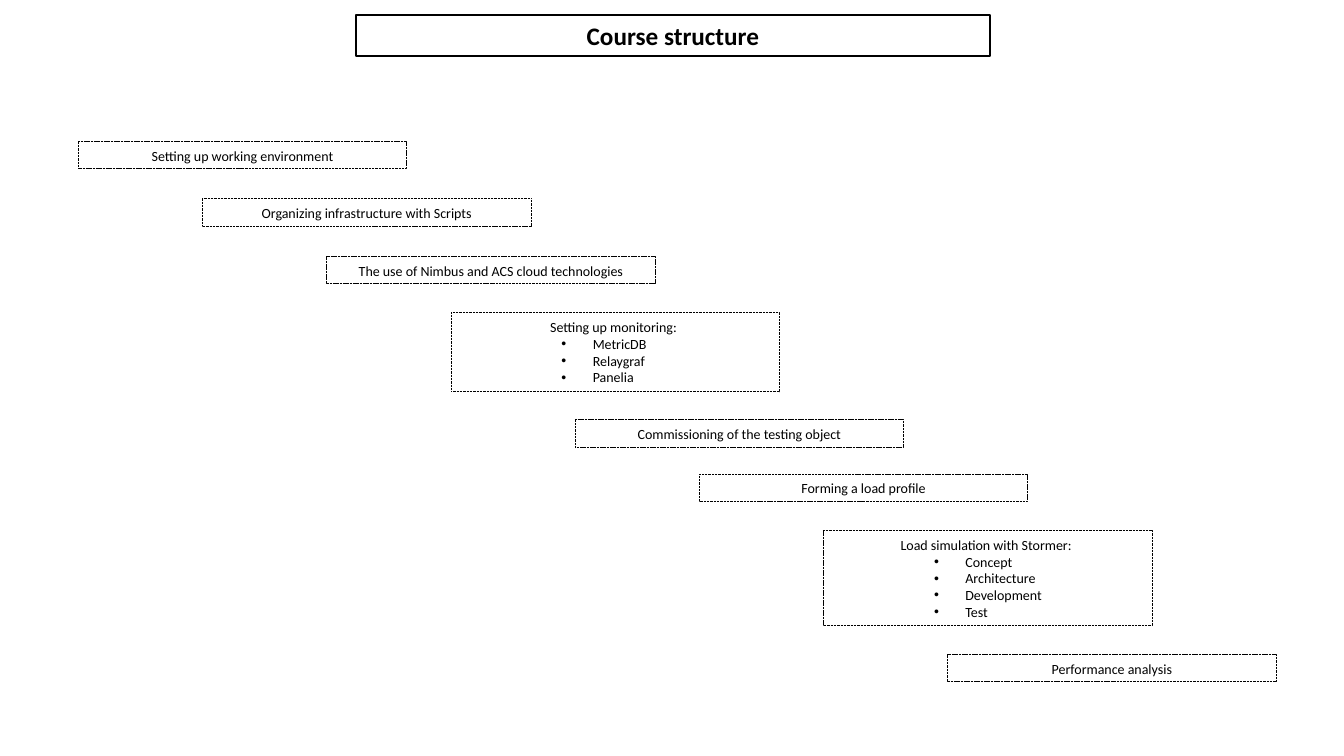
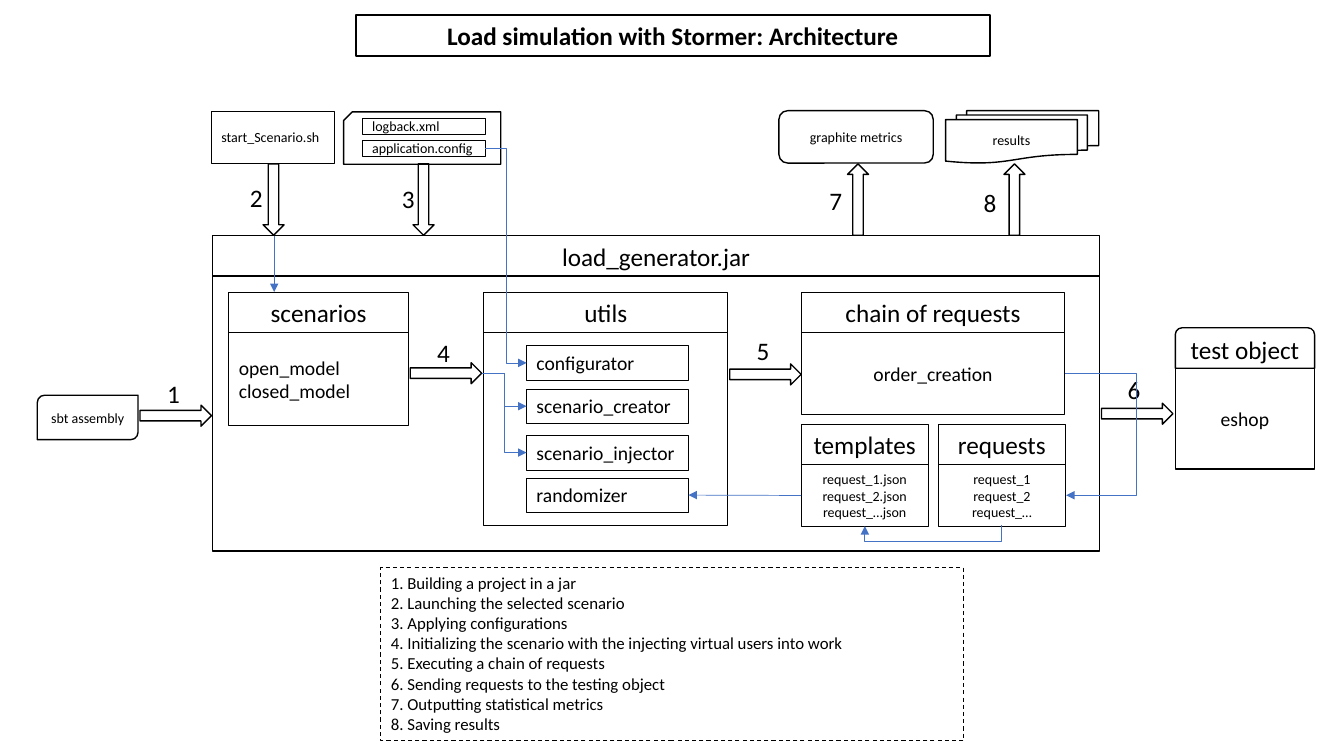
from dataclasses import dataclass

from lxml import etree
from pptx import Presentation
from pptx.dml.color import RGBColor
from pptx.enum.dml import MSO_LINE
from pptx.enum.shapes import MSO_CONNECTOR, MSO_SHAPE
from pptx.enum.text import MSO_ANCHOR, PP_ALIGN
from pptx.oxml.ns import qn
from pptx.util import Cm, Pt

RECT = MSO_SHAPE.RECTANGLE
ROUNDED = MSO_SHAPE.ROUNDED_RECTANGLE
ROUND_TOP = MSO_SHAPE.ROUND_2_SAME_RECTANGLE
ROUND_DIAGONAL = MSO_SHAPE.ROUND_2_DIAG_RECTANGLE
SNIPPED = MSO_SHAPE.SNIP_1_RECTANGLE
DOCUMENTS = MSO_SHAPE.FLOWCHART_MULTIDOCUMENT
DOWN, UP, RIGHT = MSO_SHAPE.DOWN_ARROW, MSO_SHAPE.UP_ARROW, MSO_SHAPE.RIGHT_ARROW
STRAIGHT, ELBOW = MSO_CONNECTOR.STRAIGHT, MSO_CONNECTOR.ELBOW
DASH, SHORT_DASH = MSO_LINE.DASH, MSO_LINE.SQUARE_DOT
LEFT, CENTER = PP_ALIGN.LEFT, PP_ALIGN.CENTER
TOP, MIDDLE = MSO_ANCHOR.TOP, MSO_ANCHOR.MIDDLE
LEFT_SIDE, RIGHT_SIDE = 1, 3


@dataclass(frozen=True)
class Theme:
    font: str = "Calibri"
    ink: RGBColor = RGBColor(0, 0, 0)
    paper: RGBColor = RGBColor(255, 255, 255)
    accent: RGBColor = RGBColor(0x44, 0x72, 0xC4)
    heading: int = 18
    body: int = 14
    legend: int = 12
    small: int = 10
    thick: float = 1.5
    medium: float = 1
    thin: float = 0.75
    link: float = 0.5
    hairline: float = 0.25


class Board:
    HEADER = 1.02
    ARROW_LENGTH, ARROW_WIDTH = 1.8, 0.53
    LOOP_WIDTH = 0.02

    def __init__(self, theme):
        self.theme = theme
        self.deck = Presentation()
        self.deck.slide_width, self.deck.slide_height = Cm(33.87), Cm(19.05)
        self.page = None

    def new_page(self, title):
        self.page = self.deck.slides.add_slide(self.deck.slide_layouts[6])
        self.box(8.97, 0.38, 15.98, 1.04, title, self.theme.heading,
                 weight=self.theme.thick, bold=True)

    def set_text(self, shape, text, size, align, anchor, bold=False):
        frame = shape.text_frame
        frame.word_wrap = True
        frame.vertical_anchor = anchor
        frame.text = text
        for para in frame.paragraphs:
            para.alignment = align
            for span in para.runs:
                span.font.name = self.theme.font
                span.font.size = Pt(size)
                span.font.bold = bold
                span.font.color.rgb = self.theme.ink

    def box(self, x, y, width, height, text="", size=None, kind=RECT, weight=None,
            align=CENTER, anchor=MIDDLE, dash=None, filled=False, bold=False):
        shape = self.page.shapes.add_shape(kind, Cm(x), Cm(y), Cm(width), Cm(height))
        shape.shadow.inherit = False
        if filled:
            shape.fill.solid()
            shape.fill.fore_color.rgb = self.theme.paper
        else:
            shape.fill.background()
        shape.line.color.rgb = self.theme.ink
        shape.line.width = Pt(weight or self.theme.medium)
        if dash:
            shape.line.dash_style = dash
        if text:
            self.set_text(shape, text, size or self.theme.small, align, anchor, bold)
        return shape

    def step(self, x, y, height, text):
        shape = self.box(x, y, 8.28, height, text, weight=self.theme.hairline,
                         anchor=TOP, dash=SHORT_DASH)
        first, *items = shape.text_frame.paragraphs
        first.line_spacing = 1.07
        for para in items:
            para.alignment = LEFT
            properties = para._p.get_or_add_pPr()
            properties.set("marL", str(Cm(3.33)))
            properties.set("indent", str(Cm(-0.79)))
            etree.SubElement(properties, qn("a:buFont"), typeface="Arial")
            etree.SubElement(properties, qn("a:buChar"), char="•")

    def panel(self, x, y, width, height, title, text="", size=None, align=CENTER,
              weight=None, header_kind=RECT):
        weight = weight or self.theme.thin
        self.box(x, y, width, self.HEADER, title, self.theme.heading,
                 kind=header_kind, weight=weight)
        return self.box(x, y + self.HEADER, width, height, text, size,
                        weight=weight, align=align)

    def numbered_arrow(self, number, kind, x, y, label_x, label_y):
        size = (self.ARROW_WIDTH, self.ARROW_LENGTH)
        self.box(x, y, *(size[::-1] if kind == RIGHT else size), kind=kind)
        label = self.page.shapes.add_textbox(Cm(label_x), Cm(label_y), Cm(0.76), Cm(1.02))
        self.set_text(label, str(number), self.theme.heading, LEFT, TOP)

    def link(self, kind, begin, end, source=None, target=None):
        line = self.page.shapes.add_connector(kind, *map(Cm, (*begin, *end)))
        if source:
            line.begin_connect(source, RIGHT_SIDE if kind == ELBOW else LEFT_SIDE)
        if target:
            line.end_connect(target, LEFT_SIDE if kind == ELBOW else RIGHT_SIDE)
        line.line.color.rgb = self.theme.accent
        line.line.width = Pt(self.theme.link)
        etree.SubElement(line.line._get_or_add_ln(), qn("a:tailEnd"), type="triangle")
        etree.SubElement(line._element.spPr, qn("a:effectLst"))
        return line

    def loop(self, center_x, center_y, span, reach, quarter_turns=0):
        x, y = center_x - self.LOOP_WIDTH / 2, center_y - span / 2
        line = self.link(ELBOW, (x, y), (x + self.LOOP_WIDTH, y + span))
        properties = line._element.spPr
        properties.find(qn("a:xfrm")).set("rot", str(quarter_turns * 5400000))
        geometry = properties.find(qn("a:prstGeom"))
        guides = geometry.find(qn("a:avLst"))
        if guides is None:
            guides = etree.SubElement(geometry, qn("a:avLst"))
        ratio = round(reach / self.LOOP_WIDTH * 100000)
        etree.SubElement(guides, qn("a:gd"), name="adj1", fmla=f"val {ratio}")


def build_course(board):
    board.new_page("Course structure")
    steps = [
        (3.56, 0.69, "Setting up working environment"),
        (5.0, 0.69, "Organizing infrastructure with Scripts"),
        (6.45, 0.69, "The use of Nimbus and ACS cloud technologies"),
        (7.87, 2.0, "Setting up monitoring: \nMetricDB\nRelaygraf\nPanelia"),
        (10.57, 0.69, "Commissioning of the testing object"),
        (11.94, 0.69, "Forming a load profile"),
        (13.36, 2.39, "Load simulation with Stormer: \nConcept\nArchitecture\nDevelopment\nTest"),
        (16.48, 0.69, "Performance analysis"),
    ]
    for index, (y, height, text) in enumerate(steps):
        board.step(1.97 + 3.13 * index, y, height, text)


def build_architecture(board):
    theme = board.theme
    board.new_page("Load simulation with Stormer: Architecture")

    board.box(5.33, 2.79, 3.1, 1.32, "start_Scenario.sh", weight=theme.hairline, align=LEFT)
    config_sheet = board.box(8.66, 2.82, 3.96, 1.32, kind=SNIPPED, filled=True)
    config_sheet._element.spPr.find(qn("a:xfrm")).set("flipH", "1")
    files = {
        name: board.box(9.13, y, 3.1, 0.41, name, weight=theme.hairline, align=LEFT)
        for name, y in (("logback.xml", 2.97), ("application.config", 3.53))
    }
    board.box(19.63, 2.79, 3.89, 1.32, "graphite metrics", kind=ROUNDED, filled=True)
    board.box(23.83, 2.79, 3.86, 1.32, "results", kind=DOCUMENTS, filled=True)
    board.box(0.94, 9.96, 2.54, 1.12, "sbt assembly", kind=ROUND_DIAGONAL)

    board.panel(5.36, 5.94, 22.35, 6.93, "load_generator.jar", weight=theme.medium)
    board.panel(5.77, 7.36, 4.52, 2.34, "scenarios", "open_model\nclosed_model",
                theme.body, LEFT)
    board.panel(12.19, 7.37, 6.15, 4.85, "utils")
    board.panel(20.19, 7.37, 6.65, 2.06, "chain of requests", "order_creation", theme.body)
    templates = board.panel(20.19, 10.69, 3.2, 1.55, "templates",
                            "request_1.json\nrequest_2.json\nrequest_…json")
    board.panel(23.65, 10.69, 3.2, 1.55, "requests", "request_1\nrequest_2\nrequest_…")
    board.panel(29.62, 8.26, 3.51, 2.54, "test object", "eshop", theme.body,
                weight=theme.medium, header_kind=ROUND_TOP)

    helpers = {
        name: board.box(13.27, y, 4.08, 0.87, name, theme.body,
                        weight=theme.hairline, align=LEFT)
        for name, y in (("configurator", 8.71), ("scenario_creator", 9.8),
                        ("scenario_injector", 10.97), ("randomizer", 12.04))
    }

    arrows = [
        (RIGHT, 3.53, 10.21, 3.96, 9.42),
        (DOWN, 6.63, 4.13, 6.05, 4.47),
        (DOWN, 10.41, 4.13, 9.88, 4.5),
        (RIGHT, 10.34, 9.14, 10.77, 8.38),
        (RIGHT, 18.39, 9.17, 18.82, 8.33),
        (RIGHT, 27.76, 10.16, 28.17, 9.3),
        (UP, 21.36, 4.13, 20.65, 4.55),
        (UP, 25.3, 4.13, 24.54, 4.6),
    ]
    for number, arrow in enumerate(arrows, 1):
        board.numbered_arrow(number, *arrow)

    board.link(STRAIGHT, (6.91, 5.94), (6.91, 7.36))
    board.link(STRAIGHT, (20.19, 12.48), (17.35, 12.48), templates, helpers["randomizer"])
    board.link(ELBOW, (12.23, 3.73), (13.27, 9.15),
               files["application.config"], helpers["configurator"])
    for name in ("scenario_creator", "scenario_injector"):
        board.link(ELBOW, (12.14, 9.4), (13.27, 10.2), target=helpers[name])
    board.loop(26.86, 10.94, 3.08, 1.8)
    board.loop(23.52, 13.25, 3.45, 0.41, quarter_turns=1)

    legend = [
        "Building a project in a jar",
        "Launching the selected scenario",
        "Applying configurations",
        "Initializing the scenario with the injecting virtual users into work",
        "Executing a chain of requests",
        "Sending requests to the testing object",
        "Outputting statistical metrics",
        "Saving results",
    ]
    board.box(9.6, 14.3, 14.68, 4.37,
              "\n".join(f"{number}. {text}" for number, text in enumerate(legend, 1)),
              theme.legend, weight=theme.thin, align=LEFT, anchor=TOP, dash=DASH)


def main():
    board = Board(Theme())
    build_course(board)
    build_architecture(board)
    board.deck.save("out.pptx")


if __name__ == "__main__":
    main()
